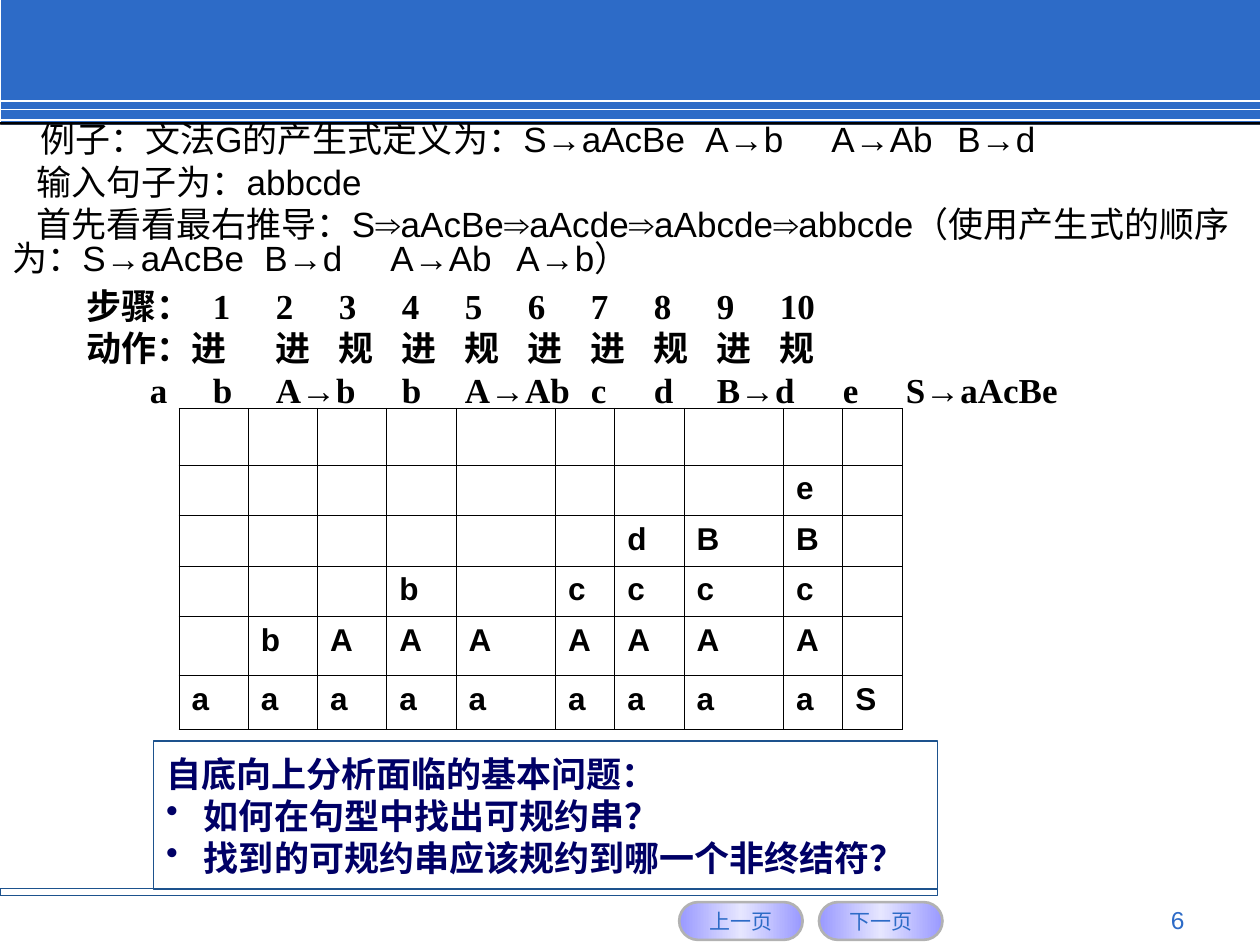
from copy import deepcopy

from lxml import etree
from pptx import Presentation
from pptx import util as u
from pptx.dml.color import RGBColor
from pptx.enum import shapes, text
from pptx.oxml.ns import qn

BLUE, NAVY, EDGE = "2D6BC7", "000066", "1D528D"
BLACK, WHITE, GREY = "000000", "FFFFFF", "B2B2B2"
LEFT, RIGHT = text.PP_ALIGN.LEFT, text.PP_ALIGN.RIGHT
CENTER, JUSTIFY = text.PP_ALIGN.CENTER, text.PP_ALIGN.JUSTIFY


def color(value):
    return RGBColor.from_string(value)


def write(p, content, size=20, font="Arial", fill=BLACK, bold=False,
          bold_arrows=False, align=LEFT, spacing=None, before=0,
          margin=0, indent=0, bullet=None, tabs=()):
    """Fill one paragraph; tabs are stops in inches."""
    p.alignment, p.line_spacing, p.space_before = align, spacing, u.Pt(before)
    pieces = [(content, bold)]
    if bold_arrows:
        pieces = []
        for i, part in enumerate(content.split("→")):
            pieces += ([("→", True)] if i else []) + [(part, bold)]
    for piece, strong in pieces:
        r = p.add_run()
        r.text = piece
        r.font.size, r.font.name, r.font.bold = u.Pt(size), font, strong
        r.font.color.rgb = color(fill)
    pPr = p._p.get_or_add_pPr()
    pPr.set("marL", str(u.Inches(margin)))
    pPr.set("indent", str(u.Inches(indent)))
    if bullet:
        etree.SubElement(pPr, qn("a:buChar")).set("char", bullet)
    if tabs:
        stops = etree.SubElement(pPr, qn("a:tabLst"))
        for pos in tabs:
            etree.SubElement(stops, qn("a:tab"), pos=str(u.Inches(pos)), algn="l")


class Deck:
    def __init__(self, width, height):
        self.prs = Presentation()
        self.prs.slide_width, self.prs.slide_height = u.Inches(width), u.Inches(height)
        self.s = self.prs.slides.add_slide(self.prs.slide_layouts[6])

    def shape(self, x, y, w, h, kind=shapes.MSO_SHAPE.RECTANGLE,
              fill=None, line=None, weight=0.75):
        sp = self.s.shapes.add_shape(kind, *map(u.Inches, (x, y, w, h)))
        sp.shadow.inherit = False
        if fill:
            sp.fill.solid()
            sp.fill.fore_color.rgb = color(fill)
        else:
            sp.fill.background()
        if line:
            sp.line.color.rgb = color(line)
            sp.line.width = u.Pt(weight)
        else:
            sp.line.fill.background()
        return sp

    def rule(self, y):
        c = self.s.shapes.add_connector(
            shapes.MSO_CONNECTOR.STRAIGHT, 0, u.Inches(y), u.Inches(10), u.Inches(y))
        c.line.color.rgb = color(WHITE)
        c.line.width = u.Pt(1)
        etree.SubElement(c._element.spPr, qn("a:effectLst"))

    def button(self, x, label):
        sp = self.shape(x, 7.16, 0.98, 0.3, shapes.MSO_SHAPE.ROUNDED_RECTANGLE,
                        line=GREY, weight=1.5)
        sp.adjustments[0] = 0.5
        sp.fill.gradient()
        sp.fill.gradient_angle = 0
        for stop in sp.fill.gradient_stops:
            stop.color.rgb = color("9999FF")
        stops = sp._element.spPr.find(".//" + qn("a:gsLst"))
        stops.insert(1, deepcopy(stops[0]))
        stops[1].set("pos", "50000")
        sp.fill.gradient_stops[1].color.rgb = color("E6E6FF")
        tf = sp.text_frame
        tf.word_wrap = False
        tf.vertical_anchor = text.MSO_ANCHOR.MIDDLE
        write(tf.paragraphs[0], label, size=12, fill=BLUE, align=CENTER)

    def textbox(self, x, y, w, h, inset=0.05):
        tf = self.s.shapes.add_textbox(*map(u.Inches, (x, y, w, h))).text_frame
        tf.word_wrap = True
        tf.margin_top = tf.margin_bottom = u.Inches(inset)
        return tf

    def paragraphs(self, tf, items, **style):
        for i, (content, extra) in enumerate(items):
            p = tf.add_paragraph() if i else tf.paragraphs[0]
            write(p, content, **{**style, **extra})

    def table(self, x, y, widths, heights, rows):
        frame = self.s.shapes.add_table(
            len(rows), len(widths), u.Inches(x), u.Inches(y),
            u.Inches(sum(widths)), u.Inches(sum(heights)))
        t = frame.table
        t.first_row = t.horz_banding = False
        for col, w in zip(t.columns, widths):
            col.width = u.Inches(w)
        for row, h, symbols in zip(t.rows, heights, rows):
            row.height = u.Inches(h)
            for cell, symbol in zip(row.cells, symbols):
                if symbol != ".":
                    write(cell.text_frame.paragraphs[0], symbol, size=18, bold=True)
                self.borders(cell)
                cell.fill.background()

    def borders(self, cell):
        tcPr = cell._tc.get_or_add_tcPr()
        for side in ("lnL", "lnR", "lnT", "lnB"):
            ln = etree.SubElement(tcPr, qn("a:" + side), w=str(u.Pt(0.45)))
            solid = etree.SubElement(ln, qn("a:solidFill"))
            etree.SubElement(solid, qn("a:srgbClr"), val=BLACK)


def main():
    d = Deck(10, 7.5)

    # Header band and footer
    d.shape(0.01, 0, 9.99, 0.99, fill=BLUE)
    for y in (0.8, 0.87, 0.95):
        d.rule(y)
    d.shape(0, 0.97, 10, 0.02, fill=BLACK)
    d.shape(0, 7.05, 7.44, 0.06, line=EDGE)
    d.button(5.39, "上一页")
    d.button(6.5, "下一页")
    write(d.textbox(7.17, 7.13, 2.33, 0.27).paragraphs[0], "6",
          size=14, fill=BLUE, align=RIGHT)

    # Grammar and derivation
    d.paragraphs(d.textbox(0, 0.95, 10, 1.57), [
        ("例子：文法G的产生式定义为：S→aAcBe\tA→b\tA→Ab\tB→d",
         dict(indent=0.22, tabs=(5.69, 6.52, 7.48))),
        ("输入句子为：abbcde", {}),
        ("首先看看最右推导：S⇒aAcBe⇒aAcde⇒aAbcde⇒abbcde（使用产生式的顺序为："
         "S→aAcBe\tB→d\tA→Ab\tA→b）", dict(tabs=(1.98, 2.82, 3.78))),
    ], indent=0.19, spacing=0.8, before=5, bold_arrows=True)

    # Stack contents after each step
    d.table(1.42, 3.24,
            [0.55, 0.55, 0.55, 0.55, 0.79, 0.47, 0.55, 0.79, 0.47, 0.47],
            [0.45, 0.4, 0.4, 0.4, 0.47, 0.43],
            ["..........", "........e.", "......dBB.",
             "...b.cccc.", ".bAAAAAAA.", "aaaaaaaaaS"])

    # Steps and actions
    d.paragraphs(d.textbox(0.59, 2.25, 8.78, 0.95, inset=0.01), [
        ("步骤：\t1\t2\t3\t4\t5\t6\t7\t8\t9\t10",
         dict(tabs=(0.91, 1.39, 1.94, 2.57, 3.06, 3.82, 4.37, 4.86, 5.55, 6.11))),
        ("动作：进\t进\t规\t进\t规\t进\t进\t规\t进\t规",
         dict(tabs=(1.24, 1.77, 2.37, 2.9, 3.56, 4.07, 4.61, 5.21, 5.74))),
        ("\ta\tb\tA→b\tb\tA→Ab\tc\td\tB→d\te\tS→aAcBe",
         dict(tabs=(0.83, 1.32, 1.74, 2.58, 2.86, 3.83, 4.3, 4.74, 5.56, 5.96))),
    ], font="Times New Roman", bold=True, align=JUSTIFY)

    # Basic questions
    tf = d.shape(1.22, 5.88, 6.22, 1.18, line=EDGE).text_frame
    tf.word_wrap = True
    tf.vertical_anchor = text.MSO_ANCHOR.MIDDLE
    d.paragraphs(tf, [
        ("自底向上分析面临的基本问题：", {}),
        ("如何在句型中找出可规约串？", dict(bullet="•")),
        ("找到的可规约串应该规约到哪一个非终结符？", dict(bullet="•")),
    ], fill=NAVY, bold=True, margin=0.3, indent=-0.3)

    d.prs.save("out.pptx")


if __name__ == "__main__":
    main()
